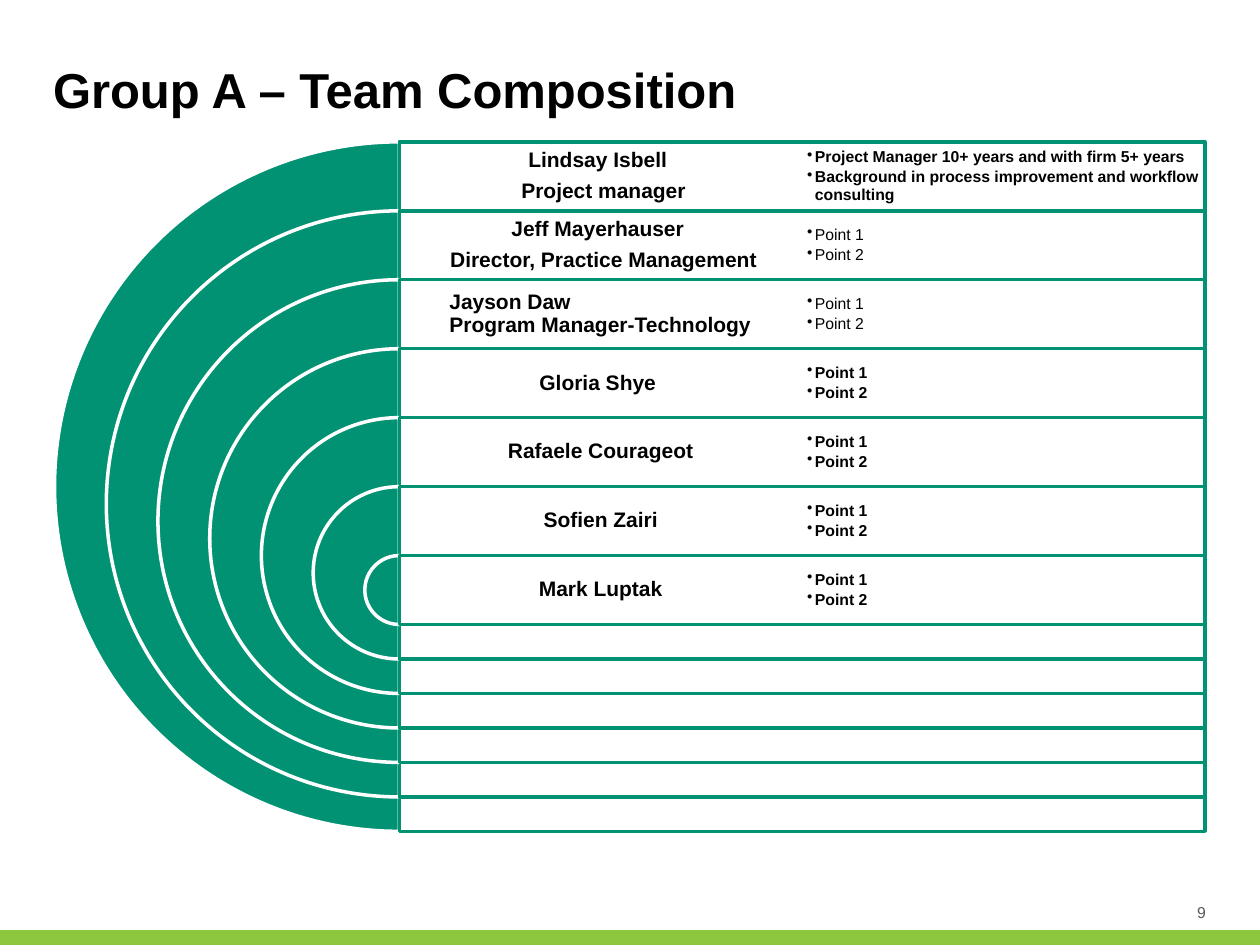
"""Build the team composition slide with nested half circles and member rows."""
from dataclasses import dataclass

from lxml import etree
from pptx import Presentation
from pptx.dml.color import RGBColor
from pptx.enum.shapes import MSO_SHAPE
from pptx.enum.text import MSO_ANCHOR, PP_ALIGN
from pptx.oxml.ns import qn
from pptx.util import Cm, Pt

PIE, RECTANGLE = MSO_SHAPE.PIE, MSO_SHAPE.RECTANGLE
TOP, MIDDLE = MSO_ANCHOR.TOP, MSO_ANCHOR.MIDDLE
LEFT, CENTER, RIGHT = PP_ALIGN.LEFT, PP_ALIGN.CENTER, PP_ALIGN.RIGHT


@dataclass(frozen=True)
class Theme:
    font: str = "Arial"
    ink: str = "000000"
    muted: str = "595959"
    paper: str = "FFFFFF"
    accent: str = "009273"
    footer: str = "8DC63F"
    title_size: int = 28
    name_size: int = 12
    small_size: int = 9
    line_width: int = 2


THEME = Theme()
AXIS, ROWS_TOP, ROW, COLUMN = 8.05, 2.86, 1.39, 8.12
POINTS = ("Point 1", "Point 2")
MEMBERS = [
    (("Lindsay Isbell ", " Project manager"),
     ("Project Manager 10+ years and with firm 5+ years",
      "Background in process improvement and workflow consulting"), True),
    (("Jeff Mayerhauser ", " Director, Practice Management"), POINTS, False),
    (("Jayson Daw\vProgram Manager-Technology",), POINTS, False),
    (("Gloria Shye ",), POINTS, True),
    (("Rafaele Courageot",), POINTS, True),
    (("Sofien Zairi",), POINTS, True),
    (("Mark Luptak",), POINTS, True),
]


def set_all(target, values):
    for name, value in values.items():
        setattr(target, name, value)


def add_block(page, kind, place, fill, line=None):
    block = page.shapes.add_shape(kind, *map(Cm, place))
    block.shadow.inherit = False
    block.fill.solid()
    block.fill.fore_color.rgb = RGBColor.from_string(fill)
    if line:
        block.line.color.rgb = RGBColor.from_string(line)
        block.line.width = Pt(THEME.line_width)
    else:
        block.line.fill.background()
    return block


def add_text(page, place, lines, size, color=THEME.ink, bold=False,
             anchor=MIDDLE, inset=0, **layout):
    box = page.shapes.add_textbox(*map(Cm, place))
    frame = box.text_frame
    margins = ("margin_left", "margin_top", "margin_right", "margin_bottom")
    set_all(frame, {"word_wrap": True, "vertical_anchor": anchor,
                    **dict.fromkeys(margins, Cm(inset))})
    for index, line in enumerate(lines):
        para = frame.add_paragraph() if index else frame.paragraphs[0]
        para.text = line
        set_all(para, layout)
        for span in para.runs:
            set_all(span.font, {"name": THEME.font, "size": Pt(size), "bold": bold})
            span.font.color.rgb = RGBColor.from_string(color)
    return box


def indent(box, left, hanging=0, bullet=None):
    for para in box.text_frame.paragraphs:
        properties = para._p.get_or_add_pPr()
        properties.set("marL", str(Cm(left)))
        properties.set("indent", str(-Cm(hanging)))
        if bullet:
            etree.SubElement(properties, qn("a:buChar")).set("char", bullet)


def add_ring(page, level):
    size = ROW * (10 - 1.5 * level)
    top = ROWS_TOP + level * ROW
    ring = add_block(page, PIE, (AXIS - size / 2, top, size, size),
                     THEME.accent, THEME.paper)
    ring.adjustments[0], ring.adjustments[1] = 54, 162
    panel = add_block(page, RECTANGLE, (AXIS, top, 2 * COLUMN, size),
                      THEME.paper, THEME.accent)
    color = panel.fill._xPr.find(qn("a:solidFill"))[0]
    etree.SubElement(color, qn("a:alpha")).set("val", "90000")


def add_member(page, level, names, points, bold):
    top = ROWS_TOP + level * ROW
    broken = "\v" in names[0]
    label = add_text(page, (AXIS, top, COLUMN, ROW), names, THEME.name_size,
                     bold=True, inset=0.13, line_spacing=0.9, space_after=Pt(4.7),
                     alignment=LEFT if broken else CENTER)
    if broken:
        indent(label, 0.88)
    details = add_text(page, (AXIS + COLUMN, top, COLUMN, ROW), points,
                       THEME.small_size, bold=bold, inset=0.1,
                       line_spacing=0.9, space_after=Pt(1.8))
    indent(details, 0.16, 0.16, "•")


def main():
    deck = Presentation()
    set_all(deck, {"slide_width": Cm(25.4), "slide_height": Cm(19.05)})
    page = deck.slides.add_slide(deck.slide_layouts[6])
    add_block(page, RECTANGLE, (0, 18.75, 25.4, 0.3), THEME.footer)
    add_text(page, (1.07, 1.42, 23.22, 2.9), ["Group A – Team Composition"],
             THEME.title_size, bold=True, anchor=TOP, line_spacing=0.8)
    add_text(page, (23.01, 18.14, 1.3, 0.51), ["9"], THEME.small_size,
             THEME.muted, alignment=RIGHT)
    for level, member in enumerate(MEMBERS):
        add_ring(page, level)
        add_member(page, level, *member)
    deck.save("out.pptx")


if __name__ == "__main__":
    main()
